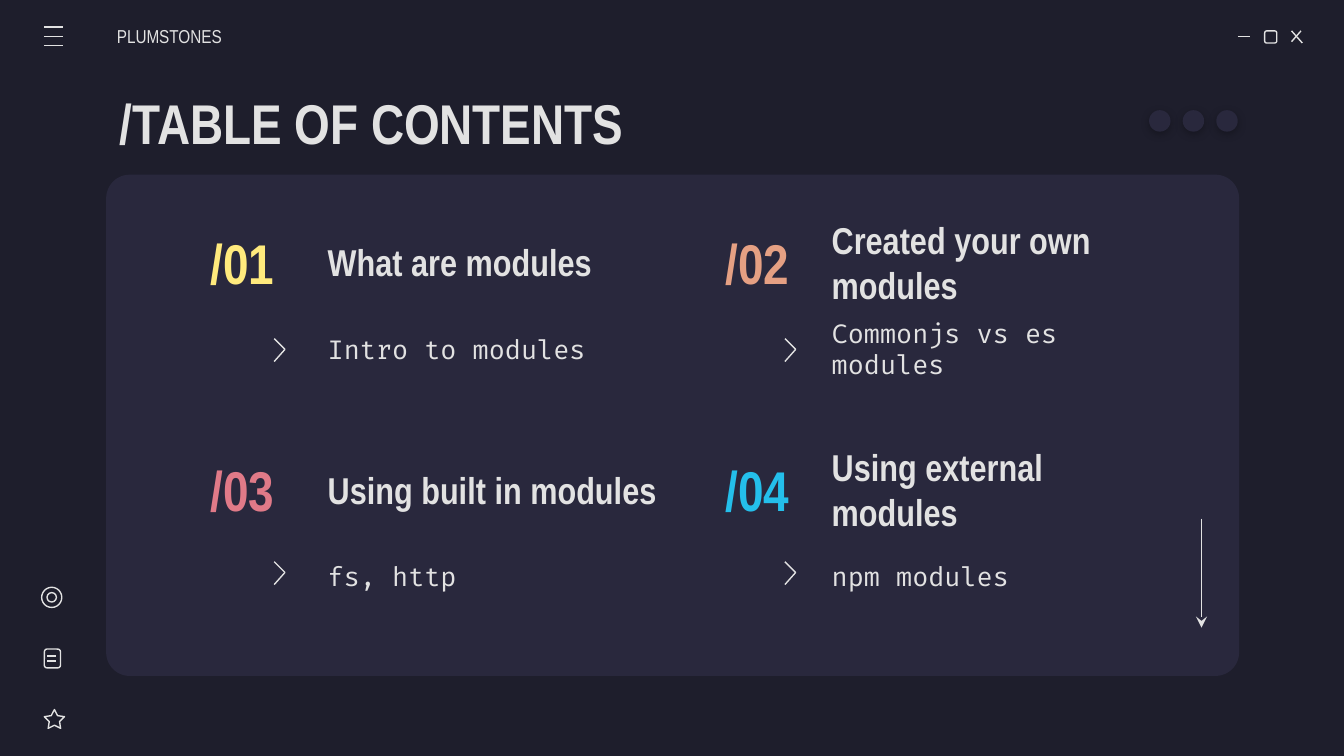
from dataclasses import dataclass

from lxml import etree
from pptx import Presentation
from pptx.dml.color import RGBColor
from pptx.enum.shapes import MSO_CONNECTOR, MSO_SHAPE
from pptx.enum.text import MSO_ANCHOR, MSO_AUTO_SIZE, PP_ALIGN
from pptx.oxml.ns import qn
from pptx.util import Inches, Pt

LINE = MSO_CONNECTOR.STRAIGHT
ROUND, OVAL, STAR = (MSO_SHAPE.ROUNDED_RECTANGLE, MSO_SHAPE.OVAL,
                     MSO_SHAPE.STAR_5_POINT)
LEFT, CENTER = PP_ALIGN.LEFT, PP_ALIGN.CENTER
MIDDLE = MSO_ANCHOR.MIDDLE
NO_FIT = MSO_AUTO_SIZE.NONE


@dataclass(frozen=True)
class Theme:
    """Colours, fonts and type sizes of the deck."""
    back: str = "1E1E2C"
    card: str = "29283D"
    ink: str = "E2E2E2"
    accents: tuple = ("FFEA7D", "E5A083", "E07A88", "24BFEB")
    head: str = "Arial Narrow"
    code: str = "Fira Code"
    big: int = 30
    mid: int = 20
    small: int = 14
    tiny: int = 10
    rule: float = 0.75


THEME = Theme()
TOPICS = (
    ("What are modules", "Intro to modules"),
    ("Created your own modules", "Commonjs vs es modules"),
    ("Using built in modules", "fs, http"),
    ("Using external modules", "npm modules"),
)


def rgb(code):
    """Turn a hex code into a colour."""
    return RGBColor.from_string(code)


def pen(item):
    """Give an item the thin light line."""
    item.line.color.rgb = rgb(THEME.ink)
    item.line.width = Pt(THEME.rule)


def shape(slide, kind, box, fill=None):
    """Add a filled shape, or an outlined one without a fill."""
    item = slide.shapes.add_shape(kind, *map(Inches, box))
    item.shadow.inherit = False
    if fill:
        item.fill.solid()
        item.fill.fore_color.rgb = rgb(fill)
        item.line.fill.background()
    else:
        item.fill.background()
        pen(item)
    return item


def rule(slide, x1, y1, x2, y2):
    """Add a thin straight line."""
    item = slide.shapes.add_connector(LINE, *map(Inches, (x1, y1, x2, y2)))
    pen(item)
    etree.SubElement(item._element.spPr, qn("a:effectLst"))
    return item


def write(item, words, size, font=THEME.head, color=THEME.ink, bold=False,
          align=LEFT, inset=0.1):
    """Set and format the one paragraph of a text shape."""
    frame = item.text_frame
    frame.word_wrap = True
    frame.auto_size = NO_FIT
    frame.vertical_anchor = MIDDLE
    frame.margin_left = Inches(inset)
    frame.margin_right = frame.margin_top = frame.margin_bottom = Inches(0.1)
    para = frame.paragraphs[0]
    para.text = words
    para.alignment = align
    para.font.name, para.font.size = font, Pt(size)
    para.font.bold = bold
    para.font.color.rgb = rgb(color)


def label(slide, box, words, size, **style):
    """Add a text box."""
    write(slide.shapes.add_textbox(*map(Inches, box)), words, size, **style)


def title(slide, box):
    """Place the slide title in its placeholder."""
    item = slide.shapes.title
    item.left, item.top, item.width, item.height = map(Inches, box)
    write(item, "/TABLE OF CONTENTS", THEME.big, bold=True)


def menu(slide, x, y):
    """Draw the three menu bars and the name beside them."""
    for row in range(3):
        top = y + row * 0.07
        rule(slide, x, top, x + 0.14, top)
    label(slide, (x + 0.54, y - 0.08, 1.17, 0.3), "PLUMSTONES", THEME.tiny,
          inset=0)


def window(slide, x, y):
    """Draw the minimise, maximise and close signs."""
    rule(slide, x, y + 0.04, x + 0.09, y + 0.04)
    shape(slide, ROUND, (x + 0.2, y, 0.09, 0.09))
    rule(slide, x + 0.4, y, x + 0.48, y + 0.09)
    rule(slide, x + 0.47, y, x + 0.4, y + 0.08)


def tools(slide, x, y):
    """Draw the ring, page and star signs down the left edge."""
    shape(slide, OVAL, (x, y, 0.15, 0.15))
    shape(slide, OVAL, (x + 0.04, y + 0.04, 0.07, 0.07))
    shape(slide, ROUND, (x + 0.02, y + 0.46, 0.12, 0.14))
    for drop in (0.51, 0.55):
        rule(slide, x + 0.04, y + drop, x + 0.11, y + drop)
    star = shape(slide, STAR, (x + 0.02, y + 0.91, 0.15, 0.14))
    star.adjustments[0] = 0.254


def dots(slide, x, y):
    """Draw three dots with a soft shadow."""
    for col in range(3):
        dot = shape(slide, OVAL, (x + col * 0.25, y, 0.16, 0.16), THEME.card)
        cast = etree.SubElement(
            dot._element.spPr.find(qn("a:effectLst")), qn("a:outerShdw"),
            blurRad=str(Pt(4.5)), dist=str(Pt(1.5)), dir="5400000",
            algn="bl", rotWithShape="0")
        tint = etree.SubElement(cast, qn("a:srgbClr"), val="000000")
        etree.SubElement(tint, qn("a:alpha"), val="27000")


def chevron(slide, x, y):
    """Draw an open angle that points right."""
    path = slide.shapes.build_freeform(Inches(x), Inches(y))
    path.add_line_segments([(Inches(x + 0.08), Inches(y + 0.08)),
                            (Inches(x), Inches(y + 0.17))], close=False)
    item = path.convert_to_shape()
    item.shadow.inherit = False
    item.fill.background()
    pen(item)


def topic(slide, x, y, index):
    """Place one numbered topic in the grid that starts at x, y."""
    row, col = divmod(index, 2)
    name, note = TOPICS[index]
    top = y + row * 1.69
    text = x + 0.99 + col * 3.75
    label(slide, (x + col * 3.83, top, 0.91, 0.56), f"/{index + 1:02}",
          THEME.big, color=THEME.accents[index], bold=True, align=CENTER)
    label(slide, (text, top, (2.9, 2.56)[col], 0.56), name, THEME.mid,
          bold=True)
    label(slide, (text, top + 0.55, 2.56, 0.75), note, THEME.small,
          font=THEME.code)
    chevron(slide, x + 0.69 + col * 3.8, y + 0.85 + row * 1.66)


def card(slide, x, y, wide, high):
    """Draw the panel with its four topics and the down arrow."""
    panel = shape(slide, ROUND, (x, y, wide, high), THEME.card)
    panel.adjustments[0] = 0.047
    for index in range(len(TOPICS)):
        topic(slide, x + 0.56, y + 0.37, index)
    side = x + wide - 0.28
    arrow = rule(slide, side, y + 2.56, side, y + 3.37)
    etree.SubElement(arrow.line._get_or_add_ln(), qn("a:tailEnd"),
                     type="stealth", w="med", len="med")


def main():
    """Build the slide and save the deck."""
    deck = Presentation()
    deck.slide_width = Inches(10)
    deck.slide_height = deck.slide_width * 9 // 16
    slide = deck.slides.add_slide(deck.slide_layouts[5])
    slide.background.fill.solid()
    slide.background.fill.fore_color.rgb = rgb(THEME.back)
    card(slide, 0.79, 1.3, 8.43, 3.73)
    title(slide, (0.79, 0.59, 8.43, 0.63))
    menu(slide, 0.33, 0.2)
    window(slide, 9.21, 0.23)
    tools(slide, 0.31, 4.37)
    dots(slide, 8.55, 0.82)
    deck.save("out.pptx")


main()
